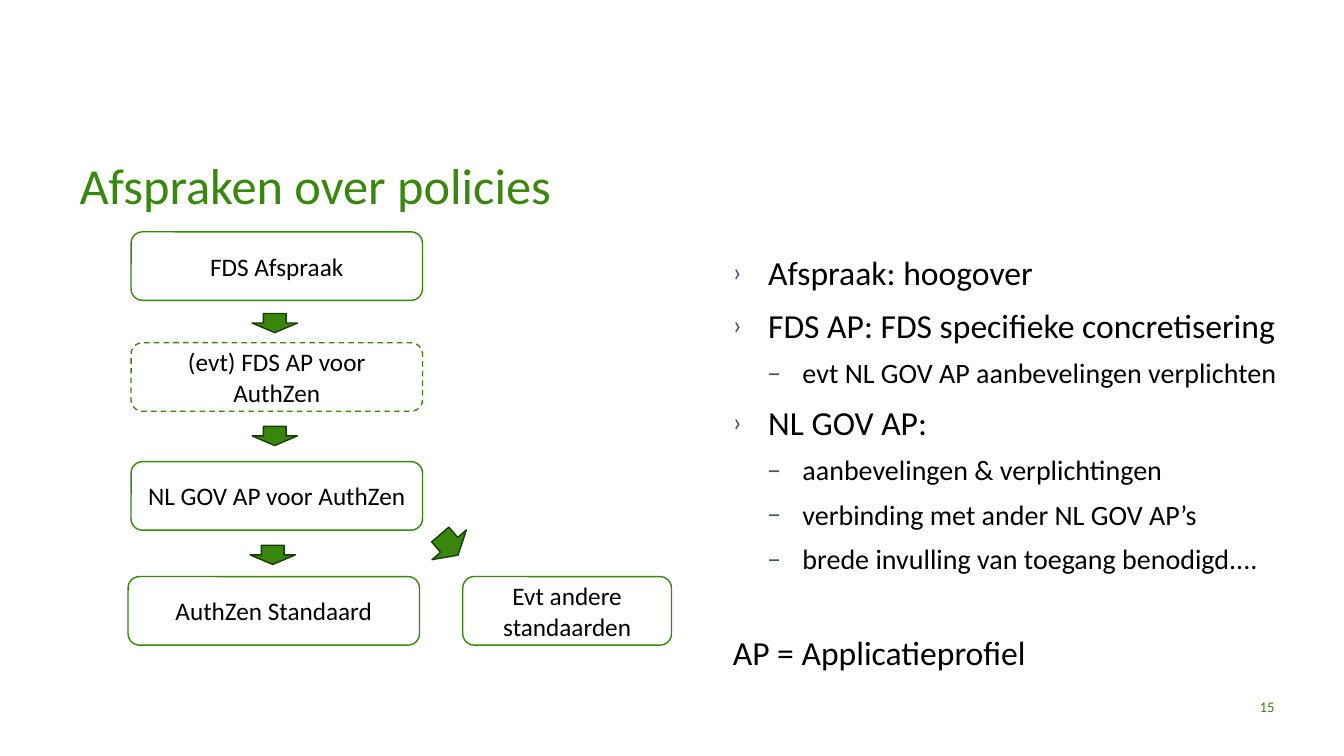
import pptx
import pptx.util
import pptx.dml.color
import pptx.enum.dml
import pptx.enum.shapes
import pptx.enum.text
import lxml.etree
from pptx.oxml.ns import qn

Inches, Pt = pptx.util.Inches, pptx.util.Pt
SHAPES = pptx.enum.shapes.MSO_SHAPE
ALIGN = pptx.enum.text.PP_ALIGN
ANCHOR = pptx.enum.text.MSO_ANCHOR

# Content
TITLE = "Afspraken over policies"
PAGE_NUMBER = "15"
BOX_HEIGHT = 0.68
BOXES = [  # text, left, top, width, dashed
    ("FDS Afspraak", 1.3, 2.3, 2.89, False),
    ("(evt) FDS AP voor AuthZen", 1.3, 3.4, 2.89, True),
    ("NL GOV AP voor AuthZen", 1.3, 4.58, 2.89, False),
    ("AuthZen Standaard", 1.27, 5.72, 2.89, False),
    ("Evt andere standaarden", 4.59, 5.72, 2.07, False),
]
ARROWS = [  # left, top, height, rotation
    (2.5, 3.11, 0.19, 0),
    (2.5, 4.23, 0.19, 0),
    (2.48, 5.41, 0.19, 0),
    (4.23, 5.27, 0.27, 319.2),
]
ARROW_WIDTH = 0.45
NOTES = [  # kind, text
    ("main", "Afspraak: hoogover"),
    ("main", "FDS AP: FDS specifieke concretisering"),
    ("sub", "evt NL GOV AP aanbevelingen verplichten"),
    ("main", "NL GOV AP:"),
    ("sub", "aanbevelingen & verplichtingen"),
    ("sub", "verbinding met ander NL GOV AP’s"),
    ("sub", "brede invulling van toegang benodigd...."),
    ("legend", "AP = Applicatieprofiel"),
]

THEME = {
    "font": "Calibri",
    "title": "39870C", "green": "38870C", "edge": "193B05",
    "text": "000000", "paper": "FFFFFF", "bullet": "44546A",
    "title_size": 36, "box_size": 18, "number_size": 10.5,
}
# size, space before, indent, bullet, bullet percentage
NOTE_STYLES = {
    "main": (24, 12, 0.35, "›", 80),
    "sub": (20, 10, 0.69, "–", 100),
    "legend": (24, 44, 0, None, 100),
}
HANGING = 0.35


def color(name):
    return pptx.dml.color.RGBColor.from_string(THEME[name])


def style(para, size, color_name, align=ALIGN.LEFT):
    para.alignment = align
    for span in para.runs:
        span.font.name = THEME["font"]
        span.font.size = Pt(size)
        span.font.color.rgb = color(color_name)


def add_text(page, left, top, width, height, anchor=ANCHOR.TOP):
    box = page.shapes.add_textbox(Inches(left), Inches(top), Inches(width), Inches(height))
    box.text_frame.word_wrap = True
    box.text_frame.vertical_anchor = anchor
    return box.text_frame


def add_shape(page, kind, left, top, width, height, fill, line):
    shape = page.shapes.add_shape(kind, Inches(left), Inches(top), Inches(width), Inches(height))
    shape.shadow.inherit = False
    shape.fill.solid()
    shape.fill.fore_color.rgb = color(fill)
    shape.line.color.rgb = color(line)
    shape.line.width = Pt(1)
    return shape


def add_bullet(para, indent, symbol, percentage):
    props = para._p.get_or_add_pPr()
    props.set("marL", str(Inches(indent)))
    props.set("indent", str(-Inches(HANGING)))
    tint = lxml.etree.SubElement(props, qn("a:buClr"))
    lxml.etree.SubElement(tint, qn("a:srgbClr"), val=THEME["bullet"])
    lxml.etree.SubElement(props, qn("a:buSzPct"), val=str(percentage * 1000))
    lxml.etree.SubElement(props, qn("a:buFont"), typeface=THEME["font"])
    lxml.etree.SubElement(props, qn("a:buChar"), char=symbol)


def main():
    deck = pptx.Presentation()
    deck.slide_width, deck.slide_height = Inches(13.33), Inches(7.5)
    page = deck.slides.add_slide(deck.slide_layouts[6])

    # Explanation on the right
    frame = add_text(page, 7.17, 2.49, 5.99, 4.31)
    for index, (kind, text) in enumerate(NOTES):
        size, before, indent, symbol, percentage = NOTE_STYLES[kind]
        para = frame.add_paragraph() if index else frame.paragraphs[0]
        para.text = text
        para.line_spacing = 0.9
        para.space_before = Pt(before)
        style(para, size, "text")
        if symbol:
            add_bullet(para, indent, symbol, percentage)

    # Title and page number
    frame = add_text(page, 0.69, 1.15, 11.95, 1.04, ANCHOR.BOTTOM)
    frame.text = TITLE
    frame.paragraphs[0].line_spacing = 0.9
    style(frame.paragraphs[0], THEME["title_size"], "title")

    frame = add_text(page, 10.06, 6.8, 2.58, 0.35, ANCHOR.BOTTOM)
    frame.margin_right = 0
    frame.text = PAGE_NUMBER
    style(frame.paragraphs[0], THEME["number_size"], "title", ALIGN.RIGHT)

    # Boxes of the policy chain
    for text, left, top, width, dashed in BOXES:
        box = add_shape(page, SHAPES.ROUNDED_RECTANGLE, left, top, width, BOX_HEIGHT,
                        "paper", "green")
        if dashed:
            box.line.dash_style = pptx.enum.dml.MSO_LINE.DASH
        frame = box.text_frame
        frame.word_wrap = True
        frame.vertical_anchor = ANCHOR.MIDDLE
        frame.text = text
        style(frame.paragraphs[0], THEME["box_size"], "text", ALIGN.CENTER)

    # Arrows between the boxes
    for left, top, height, rotation in ARROWS:
        arrow = add_shape(page, SHAPES.DOWN_ARROW, left, top, ARROW_WIDTH, height,
                          "green", "edge")
        arrow.rotation = rotation

    deck.save("out.pptx")


if __name__ == "__main__":
    main()
